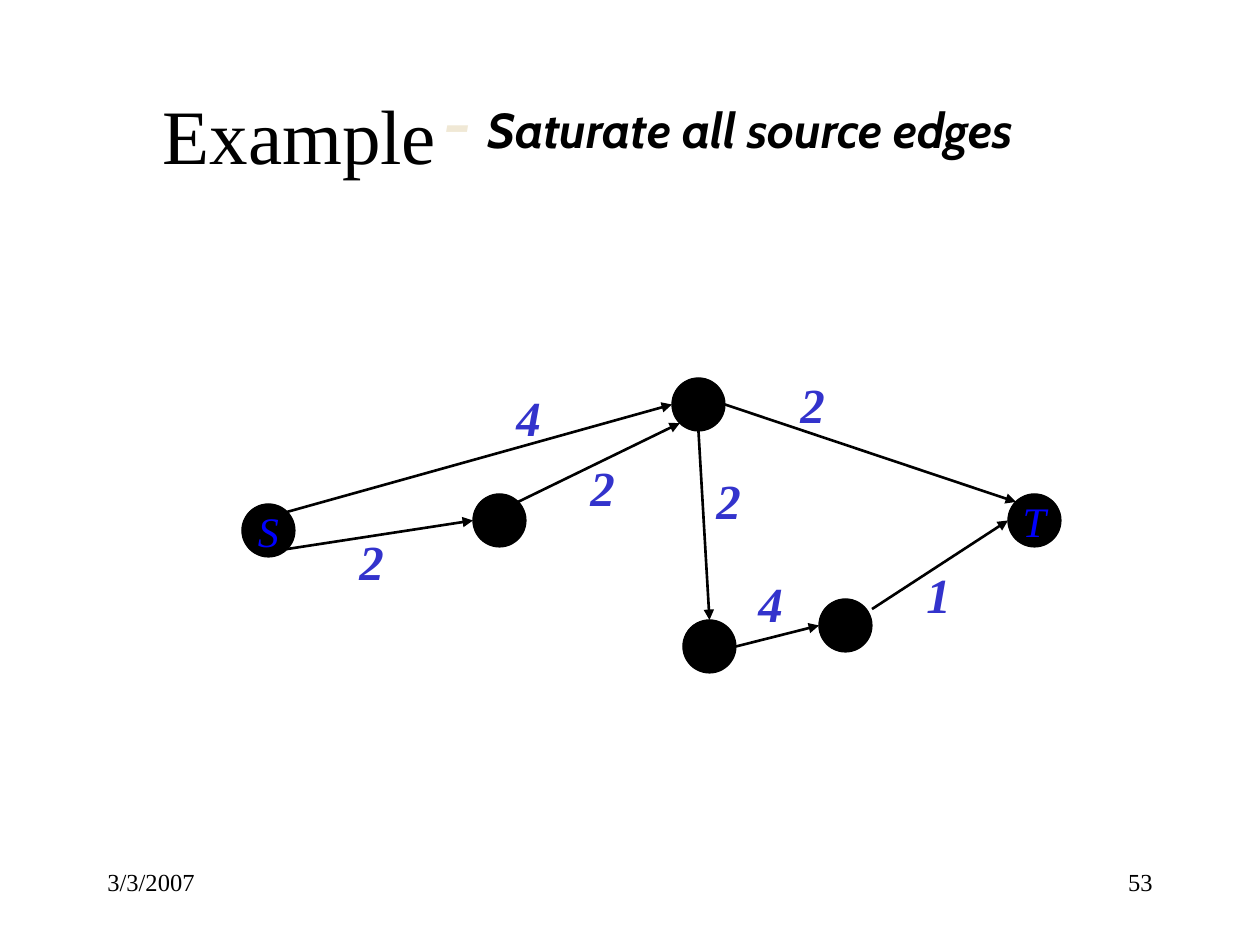
from dataclasses import dataclass

from lxml import etree
from pptx import Presentation
from pptx.dml.color import RGBColor
from pptx.enum.shapes import MSO_CONNECTOR, MSO_SHAPE
from pptx.enum.text import MSO_ANCHOR, PP_ALIGN
from pptx.oxml.ns import qn
from pptx.util import Emu, Pt

LEFT, CENTER, RIGHT = PP_ALIGN.LEFT, PP_ALIGN.CENTER, PP_ALIGN.RIGHT
TOP, MIDDLE = MSO_ANCHOR.TOP, MSO_ANCHOR.MIDDLE
ELLIPSE, STRAIGHT = MSO_SHAPE.OVAL, MSO_CONNECTOR.STRAIGHT


@dataclass(frozen=True)
class Theme:
    serif: str = "Times New Roman"
    sans: str = "Cabin"
    black: str = "000000"
    blue: str = "0000FF"
    indigo: str = "3333CC"
    sand: str = "F0E8D5"
    title: int = 44
    dash: int = 40
    label: int = 28
    node: int = 24
    footer: int = 14
    outline: float = 0.75
    edge: float = 1.5


THEME = Theme()
EMU_PER_PX = 914400 / 126
SLIDE_SIZE = (1260, 945)
NODE_SIZE = 53
LABEL_SIZE = (53, 72)

# Run: text, font, size, colour, bold, italic
CAPTIONS = [
    # box, alignment, anchor, runs
    ((126, 71, 347, 126), CENTER, MIDDLE,
     [("Example", THEME.serif, THEME.title, THEME.black, False, False)]),
    ((431, 72, 756, 126), LEFT, TOP,
     [("- ", THEME.sans, THEME.dash, THEME.sand, True, True),
      ("Saturate all source edges", THEME.sans, THEME.label, THEME.black, True, True)]),
    ((95, 861, 262, 63), LEFT, TOP,
     [("3/3/2007", THEME.serif, THEME.footer, THEME.black, False, False)]),
    ((903, 861, 262, 63), RIGHT, TOP,
     [("53", THEME.serif, THEME.footer, THEME.black, False, False)]),
]

# Node: left, top, visible letter
NODES = {
    "source": (242, 504, "S"),
    "left": (473, 494, ""),
    "upper": (672, 378, ""),
    "lower": (683, 620, ""),
    "right": (819, 599, ""),
    "sink": (1008, 494, "T"),
}

# Attachment points as fractions of a node's box
SITES = {
    "n": (0.5, 0), "e": (1, 0.5), "s": (0.5, 1), "w": (0, 0.5),
    "ne": (0.85, 0.15), "se": (0.85, 0.85), "sw": (0.15, 0.85), "nw": (0.15, 0.15),
    "ene": (1, 0.19),
}

# Edge: start node, start site, end node, end site, capacity, label corner
EDGES = [
    ("source", "ne", "upper", "w", "4", (504, 381)),
    ("source", "se", "left", "w", "2", (347, 525)),
    ("left", "ne", "upper", "sw", "2", (578, 451)),
    ("upper", "e", "sink", "nw", "2", (788, 368)),
    ("upper", "s", "lower", "n", "2", (704, 464)),
    ("lower", "e", "right", "w", "4", (746, 567)),
    ("right", "ene", "sink", "w", "1", (914, 558)),
]


def px(*lengths):
    return [Emu(round(length * EMU_PER_PX)) for length in lengths]


def rgb(colour):
    return RGBColor.from_string(colour)


def write(frame, runs, alignment, anchor, wrap=True):
    frame.word_wrap = wrap
    frame.vertical_anchor = anchor
    paragraph = frame.paragraphs[0]
    paragraph.alignment = alignment
    for text, face, size, colour, bold, italic in runs:
        run = paragraph.add_run()
        run.text = text
        style = {"name": face, "size": Pt(size), "bold": bold, "italic": italic}
        for attribute, value in style.items():
            setattr(run.font, attribute, value)
        run.font.color.rgb = rgb(colour)


def add_caption(slide, box, alignment, anchor, runs):
    caption = slide.shapes.add_textbox(*px(*box))
    write(caption.text_frame, runs, alignment, anchor)


def add_node(slide, left, top, letter):
    node = slide.shapes.add_shape(ELLIPSE, *px(left, top, NODE_SIZE, NODE_SIZE))
    node.shadow.inherit = False
    node.fill.solid()
    node.fill.fore_color.rgb = rgb(THEME.black)
    node.line.color.rgb = rgb(THEME.black)
    node.line.width = Pt(THEME.outline)
    if letter:
        runs = [(letter, THEME.serif, THEME.node, THEME.blue, False, True)]
        write(node.text_frame, runs, CENTER, MIDDLE, wrap=False)


def site_position(node, site):
    left, top, _ = NODES[node]
    across, down = SITES[site]
    return left + across * NODE_SIZE, top + down * NODE_SIZE


def add_edge(slide, start, end):
    edge = slide.shapes.add_connector(STRAIGHT, *px(*start, *end))
    edge.line.color.rgb = rgb(THEME.black)
    edge.line.width = Pt(THEME.edge)
    properties = edge.line._get_or_add_ln()
    etree.SubElement(properties, qn("a:tailEnd"), type="triangle")
    etree.SubElement(edge._element.spPr, qn("a:effectLst"))


def main():
    presentation = Presentation()
    presentation.slide_width, presentation.slide_height = px(*SLIDE_SIZE)
    slide = presentation.slides.add_slide(presentation.slide_layouts[6])

    for caption in CAPTIONS:
        add_caption(slide, *caption)
    for node in NODES.values():
        add_node(slide, *node)
    for start, start_site, end, end_site, capacity, corner in EDGES:
        add_edge(slide, site_position(start, start_site), site_position(end, end_site))
        runs = [(capacity, THEME.serif, THEME.label, THEME.indigo, True, True)]
        add_caption(slide, (*corner, *LABEL_SIZE), LEFT, TOP, runs)

    presentation.save("out.pptx")


if __name__ == "__main__":
    main()
